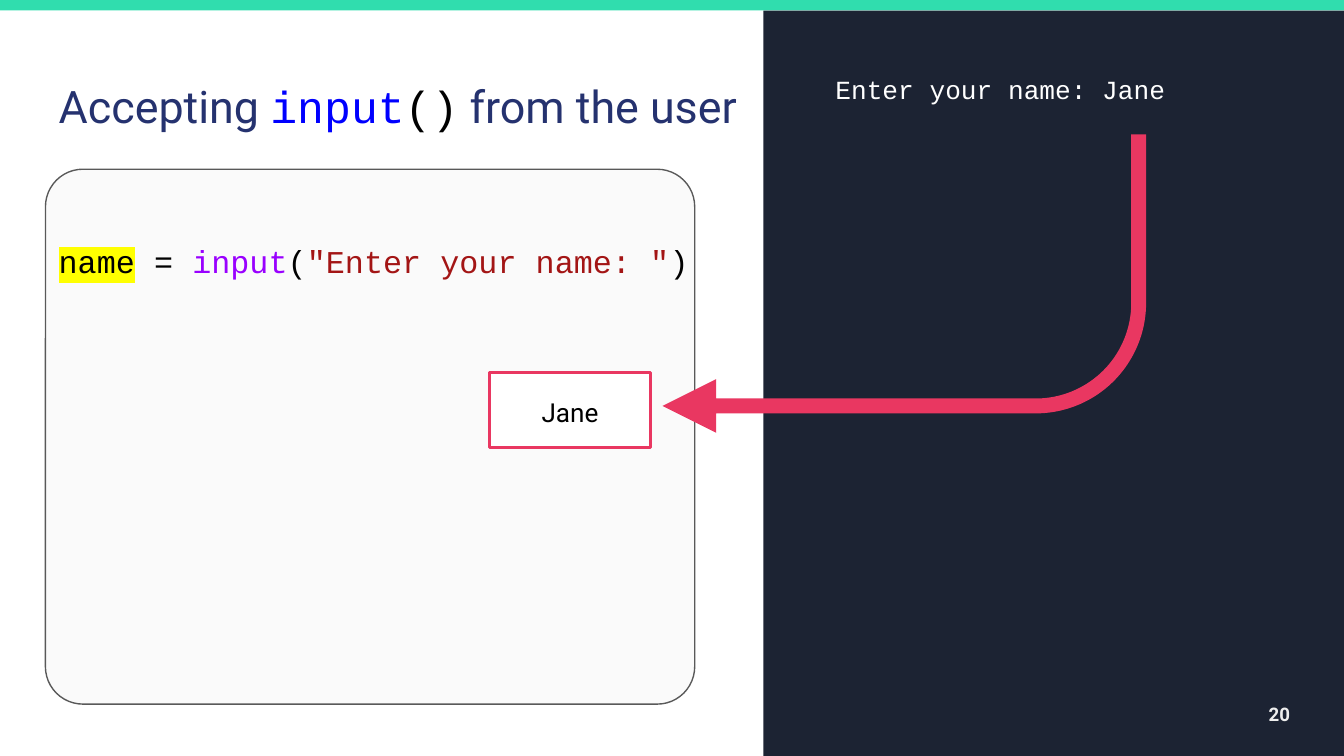
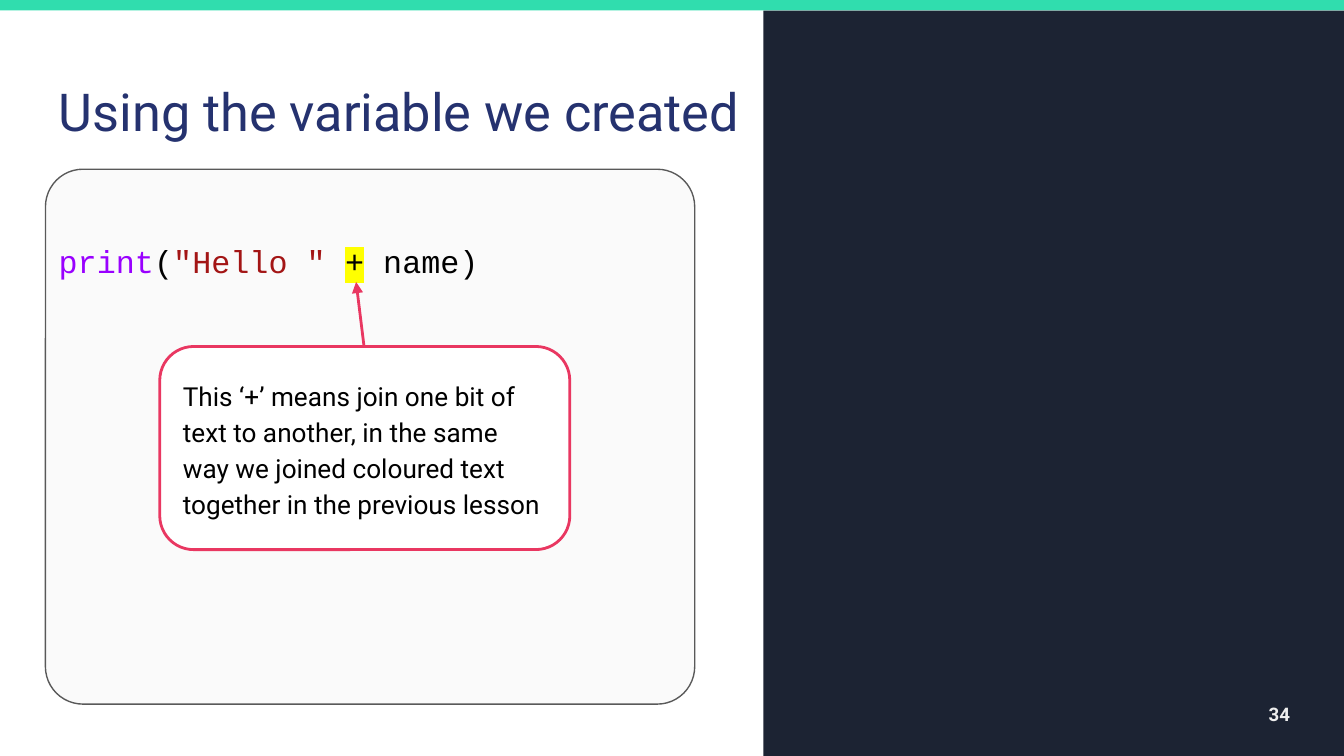
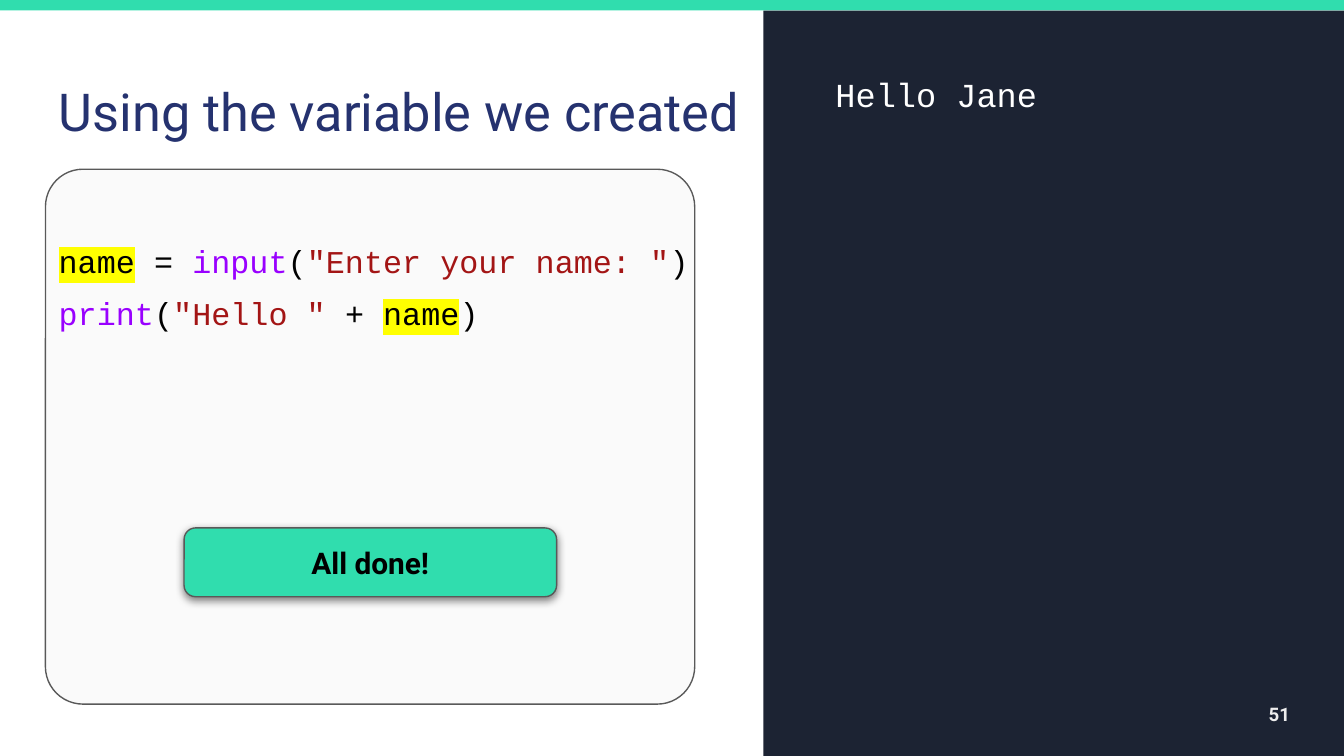
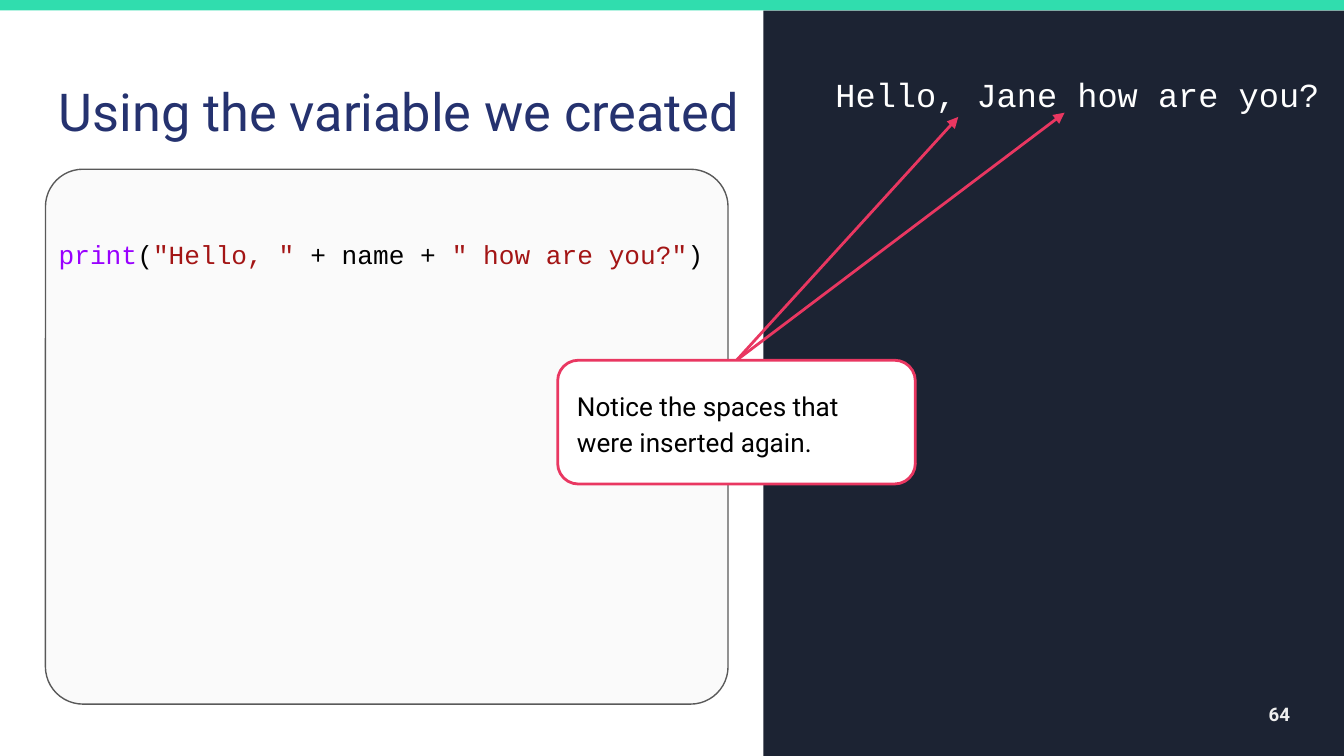
"""Builds four slides on reading input and using variables."""
from lxml import etree
from pptx import Presentation
from pptx.dml.color import RGBColor as RGB
from pptx.enum.shapes import MSO_CONNECTOR as CONN, MSO_SHAPE as SHAPE
from pptx.enum.text import MSO_ANCHOR as ANCHOR, MSO_AUTO_SIZE as AUTO, PP_ALIGN as ALIGN
from pptx.oxml.ns import qn
from pptx.util import Cm, Pt

WHITE = RGB(0xFF, 0xFF, 0xFF)
BLACK = RGB(0x00, 0x00, 0x00)
MINT = RGB(0x30, 0xDD, 0xAE)
NIGHT = RGB(0x1C, 0x23, 0x33)
NAVY = RGB(0x25, 0x32, 0x6F)
PAPER = RGB(0xFA, 0xFA, 0xFA)
GREY = RGB(0x59, 0x59, 0x59)
PALE = RGB(0xEE, 0xEE, 0xEE)
PINK = RGB(0xE9, 0x37, 0x61)
BLUE = RGB(0x00, 0x00, 0xFF)
PURPLE = RGB(0x99, 0x00, 0xFF)
RED = RGB(0xA3, 0x15, 0x15)
YELLOW = RGB(0xFF, 0xFF, 0x00)
SANS = "Roboto"
MONO = "Courier New"

USING_TITLE = ["Using the variable we created"]
INPUT_LINE = [("name", BLACK, YELLOW), (" = ", BLACK), ("input", PURPLE), ("(", BLACK),
              ('"Enter your name: "', RED), (")", BLACK)]
HELLO_START = [("print", PURPLE), ("(", BLACK), ('"Hello " ', RED)]


def add_color(parent, tag, color):
    """Append an element holding one sRGB colour and return the colour element."""
    holder = etree.SubElement(parent, qn(tag))
    return etree.SubElement(holder, qn("a:srgbClr"), val=str(color))


class Deck:
    """Holds the shared style and the current slide."""

    def __init__(self):
        """Start an empty widescreen presentation."""
        self.prs = Presentation()
        self.prs.slide_width, self.prs.slide_height = Cm(25.4), Cm(14.29)
        self.s = None

    def slide(self, number, title, size=28):
        """Add a slide with its band, console panel, number and title."""
        self.s = self.prs.slides.add_slide(self.prs.slide_layouts[5])
        self.shape(SHAPE.RECTANGLE, (-0.03, 0, 25.45, 0.2), MINT)
        self.shape(SHAPE.RECTANGLE, (14.43, 0.2, 11, 14.12), NIGHT)
        self.text((23.11, 12.95, 1.52, 1.09), [[number]], 10, color=PALE, bold=True,
                  align=ALIGN.RIGHT, anchor=ANCHOR.MIDDLE)
        sp = self.s.shapes.title
        sp.left, sp.top, sp.width, sp.height = map(Cm, (0.86, 1.24, 13.56, 1.6))
        self.fill_text(sp.text_frame, [title], size, color=NAVY)

    def fill_text(self, tf, lines, size, font=SANS, color=BLACK, bold=False,
                  align=ALIGN.LEFT, anchor=ANCHOR.TOP, spacing=1.0):
        """Fill a text frame with lines of plain or (text, colour, highlight, font) runs."""
        tf.word_wrap, tf.auto_size, tf.vertical_anchor = True, AUTO.NONE, anchor
        tf.margin_left = tf.margin_right = tf.margin_top = tf.margin_bottom = Cm(0.25)
        for i, line in enumerate(lines):
            p = tf.add_paragraph() if i else tf.paragraphs[0]
            p.alignment, p.line_spacing = align, spacing
            p.font.size, p.font.name, p.font.bold = Pt(size), font, bold
            p.font.color.rgb = color
            for part in line:
                self.add_run(p, *([part] if isinstance(part, str) else part))

    def add_run(self, p, text, color=None, highlight=None, font=None):
        """Add one run that may differ from its paragraph."""
        r = p.add_run()
        r.text = text
        if color is not None:
            r.font.color.rgb = color
        if highlight is not None:
            add_color(r.font._element, "a:highlight", highlight)
        if font:
            r.font.name = font

    def text(self, box, lines, size, **style):
        """Add a text box and return its frame."""
        tf = self.s.shapes.add_textbox(*map(Cm, box)).text_frame
        self.fill_text(tf, lines, size, **style)
        return tf

    def shape(self, kind, box, fill, line=None, weight=0.75, adjust=()):
        """Add a filled preset shape without shadow."""
        sp = self.s.shapes.add_shape(kind, *map(Cm, box))
        sp.shadow.inherit = False
        sp.fill.solid()
        sp.fill.fore_color.rgb = fill
        if line is None:
            sp.line.fill.background()
        else:
            sp.line.color.rgb, sp.line.width = line, Pt(weight)
        for i, value in enumerate(adjust):
            sp.adjustments[i] = value
        return sp

    def code(self, lines, size=17, panel_width=12.27, text_width=12.67):
        """Add the code panel and its listing."""
        self.shape(SHAPE.ROUNDED_RECTANGLE, (0.86, 3.2, panel_width, 10.11), PAPER, GREY,
                   adjust=[0.07])
        tf = self.text((0.86, 3.21, text_width, 10.08), lines, size, font=MONO)
        tf.margin_top = Cm(1.02 + 0.02 * size)
        for p in tf.paragraphs[1:]:
            p.line_spacing = 1.36

    def output(self, line, size=18, width=9.09):
        """Add console output on the dark panel."""
        self.text((15.54, 1.14, width, 10.11), [[line]], size, font=MONO, color=WHITE)

    def callout(self, box, words, kind=SHAPE.ROUNDED_RECTANGLE, align=ALIGN.LEFT):
        """Add a white box with a pink outline."""
        sp = self.shape(kind, box, WHITE, PINK, 1.5)
        self.fill_text(sp.text_frame, [[words]], 14, align=align, anchor=ANCHOR.MIDDLE,
                       spacing=1.15)

    def button(self, box, words):
        """Add a mint button with a soft shadow."""
        sp = self.shape(SHAPE.ROUNDED_RECTANGLE, box, MINT, GREY)
        effects = sp._element.spPr.find(qn("a:effectLst"))
        clr = add_color(effects, "a:outerShdw", BLACK)
        for key, value in (("blurRad", Pt(4.5)), ("dist", Pt(1.5)), ("dir", 5400000)):
            clr.getparent().set(key, str(int(value)))
        etree.SubElement(clr, qn("a:alpha"), val="50000")
        self.fill_text(sp.text_frame, [[words]], 16, bold=True, align=ALIGN.CENTER,
                       anchor=ANCHOR.MIDDLE)

    def arrow(self, start, end):
        """Add a pink straight arrow."""
        c = self.s.shapes.add_connector(CONN.STRAIGHT, *map(Cm, start + end))
        c.line.color.rgb, c.line.width = PINK, Pt(1.5)
        etree.SubElement(c.line._get_or_add_ln(), qn("a:tailEnd"), type="triangle")
        etree.SubElement(c._element.spPr, qn("a:effectLst"))

    def bent_arrow(self, box):
        """Add the thick bent arrow that leads from console to code."""
        sp = self.shape(SHAPE.BENT_ARROW, box, PINK, adjust=[0.05, 0.09, 0.18, 0.37])
        sp.rotation = 180


def main():
    """Build and save the slides."""
    deck = Deck()

    deck.slide("20", ["Accepting ", ("input", BLUE, None, MONO), ("()", BLACK, None, MONO),
                      " from the user"], 24)
    deck.output("Enter your name: Jane", 14)
    deck.code([INPUT_LINE])
    deck.bent_arrow((12.52, 2.54, 9.14, 5.64))
    deck.callout((9.25, 7.04, 3.05, 1.42), "Jane", SHAPE.RECTANGLE, ALIGN.CENTER)

    deck.slide("34", USING_TITLE)
    deck.code([HELLO_START + [("+", BLACK, YELLOW), (" name)", BLACK)]])
    deck.arrow((6.88, 6.55), (6.73, 5.33))
    deck.callout((3.02, 6.55, 7.75, 3.84),
                 "This ‘+’ means join one bit of text to another, in the same way "
                 "we joined coloured text together in the previous lesson")

    deck.slide("51", USING_TITLE)
    deck.code([INPUT_LINE,
               HELLO_START + [("+ ", BLACK), ("name", BLACK, YELLOW), (")", BLACK)]])
    deck.output("Hello Jane")
    deck.button((3.48, 9.98, 7.04, 1.3), "All done!")

    deck.slide("64", USING_TITLE)
    deck.output("Hello, Jane how are you?", width=9.91)
    for tip in ((18.11, 2.21), (20.12, 2.13)):
        deck.arrow((13.92, 6.81), tip)
    deck.code([[("print", PURPLE), ("(", BLACK), ('"Hello, " ', RED), ("+ name + ", BLACK),
                ('" how are you?"', RED), (")", BLACK)]], 14, 12.9, 12.9)
    deck.callout((10.54, 6.81, 6.76, 2.34), "Notice the spaces that were inserted again.")

    deck.prs.save("out.pptx")


if __name__ == "__main__":
    main()
